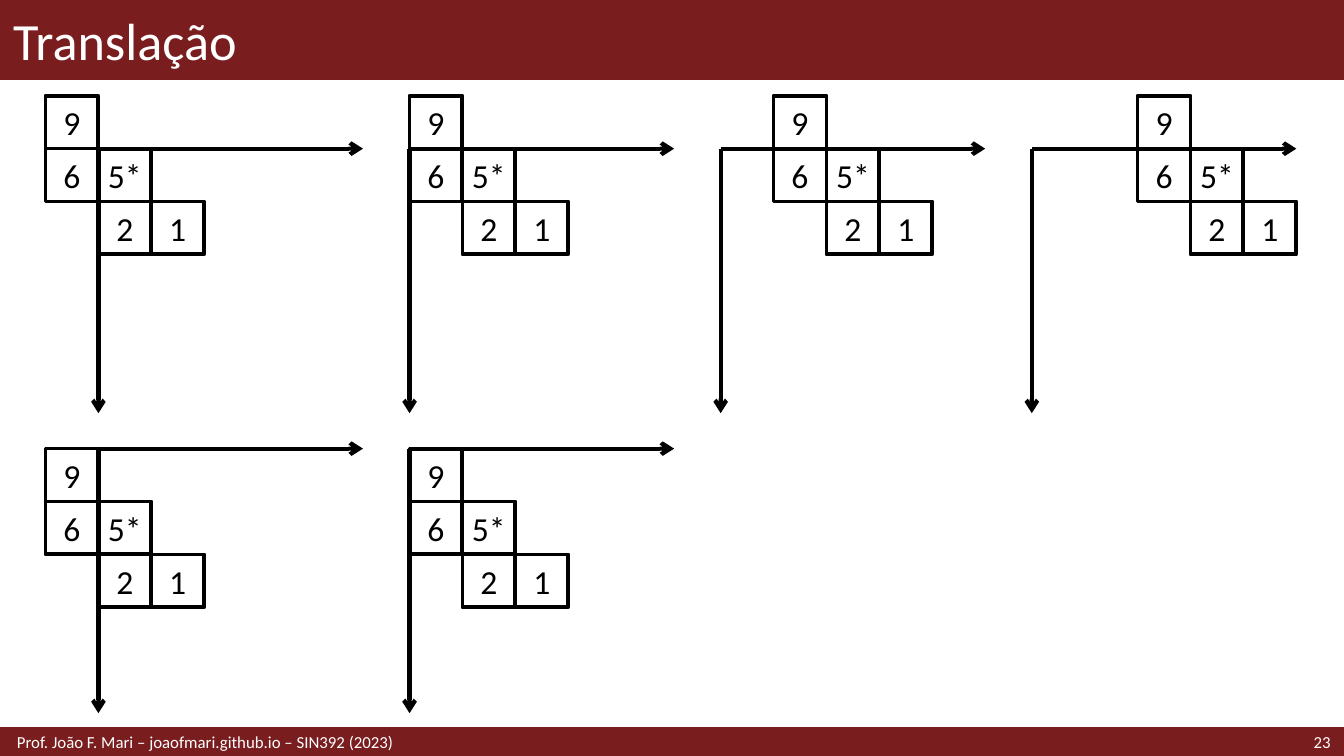
from lxml import etree
from pptx import Presentation
from pptx.dml.color import RGBColor
from pptx.enum.shapes import MSO_CONNECTOR, MSO_SHAPE
from pptx.enum.text import MSO_ANCHOR as Anchor, PP_ALIGN as Align
from pptx.oxml.ns import qn
from pptx.util import Cm, Pt

COLORS = {"bar": "791D1F", "on_bar": "FFFFFF", "ink": "000000"}
WIDTH, HEIGHT = 25.4, 14.29
TITLE_HEIGHT, FOOTER_HEIGHT = 1.5, 0.53
FOOTER_TOP = HEIGHT - FOOTER_HEIGHT

CELL = 1.0
AXIS_LENGTH = 5 * CELL
FIRST_ORIGIN_X, ORIGIN_STEP = 1.86, 5.88
ORIGIN_ROWS = [2.81, 8.48]
# label, column and row of each cell, counted from the top left of the figure
FIGURE = [("9", 0, 0), ("6", 0, 1), ("5*", 1, 1), ("2", 1, 2), ("1", 2, 2)]
# column and row of the axes, then the shift of the figure from the origin in cells
TRANSLATIONS = [
    (0, 0, -1, -1), (1, 0, 0, -1), (2, 0, 1, -1), (3, 0, 2, -1),
    (0, 1, -1, 0), (1, 1, 0, 0),
]


def write(shape, text, size=18, color="ink", align=Align.CENTER, side=0.1, upright=0.13):
    """Set the text of a shape; side and upright are its insets in cm."""
    frame = shape.text_frame
    frame.word_wrap = True
    frame.vertical_anchor = Anchor.MIDDLE
    frame.margin_left = frame.margin_right = Cm(side)
    frame.margin_top = frame.margin_bottom = Cm(upright)
    paragraph = frame.paragraphs[0]
    paragraph.alignment = align
    run = paragraph.add_run()
    run.text = text
    run.font.name = "Calibri"
    run.font.size = Pt(size)
    run.font.color.rgb = RGBColor.from_string(COLORS[color])


prs = Presentation()
prs.slide_width, prs.slide_height = Cm(WIDTH), Cm(HEIGHT)
slide = prs.slides.add_slide(prs.slide_layouts[5])

for top, height in [(0, TITLE_HEIGHT), (FOOTER_TOP, FOOTER_HEIGHT)]:
    bar = slide.shapes.add_shape(MSO_SHAPE.RECTANGLE, 0, Cm(top), Cm(WIDTH), Cm(height))
    bar.shadow.inherit = False
    bar.fill.solid()
    bar.fill.fore_color.rgb = RGBColor.from_string(COLORS["bar"])
    bar.line.color.rgb = RGBColor.from_string(COLORS["bar"])
    bar.line.width = Pt(1)

title = slide.shapes.title
title.left, title.top, title.width, title.height = 0, 0, Cm(WIDTH), Cm(TITLE_HEIGHT)
write(title, "Translação", size=28, color="on_bar", align=Align.LEFT, side=0.25)
slide.shapes.element.append(title.element)  # in front of the bars

for left, width, text, align, side in [
    (0, 17.5, "Prof. João F. Mari – joaofmari.github.io – SIN392 (2023)", Align.LEFT, 0.32),
    (22.5, 2.9, "23", Align.RIGHT, 0.25),
]:
    footer = slide.shapes.add_textbox(Cm(left), Cm(FOOTER_TOP), Cm(width), Cm(FOOTER_HEIGHT))
    write(footer, text, size=9, color="on_bar", align=align, side=side, upright=0)

for column, row, shift_x, shift_y in TRANSLATIONS:
    panel = slide.shapes.add_group_shape().shapes
    origin_x = FIRST_ORIGIN_X + column * ORIGIN_STEP
    origin_y = ORIGIN_ROWS[row]

    for reach_x, reach_y in [(0, AXIS_LENGTH), (AXIS_LENGTH, 0)]:
        axis = panel.add_connector(
            MSO_CONNECTOR.STRAIGHT, Cm(origin_x), Cm(origin_y),
            Cm(origin_x + reach_x), Cm(origin_y + reach_y))
        axis.line.color.rgb = RGBColor.from_string(COLORS["ink"])
        axis.line.width = Pt(2.25)
        etree.SubElement(axis.line.color and axis.element.spPr.find(qn("a:ln")),
                         qn("a:tailEnd"), type="arrow")
        etree.SubElement(axis.element.spPr, qn("a:effectLst"))

    for label, cell_column, cell_row in FIGURE:
        cell = panel.add_shape(
            MSO_SHAPE.RECTANGLE,
            Cm(origin_x + (shift_x + cell_column) * CELL),
            Cm(origin_y + (shift_y + cell_row) * CELL), Cm(CELL), Cm(CELL))
        cell.shadow.inherit = False
        cell.fill.background()
        cell.line.color.rgb = RGBColor.from_string(COLORS["ink"])
        cell.line.width = Pt(2)
        write(cell, label)

prs.save("out.pptx")
